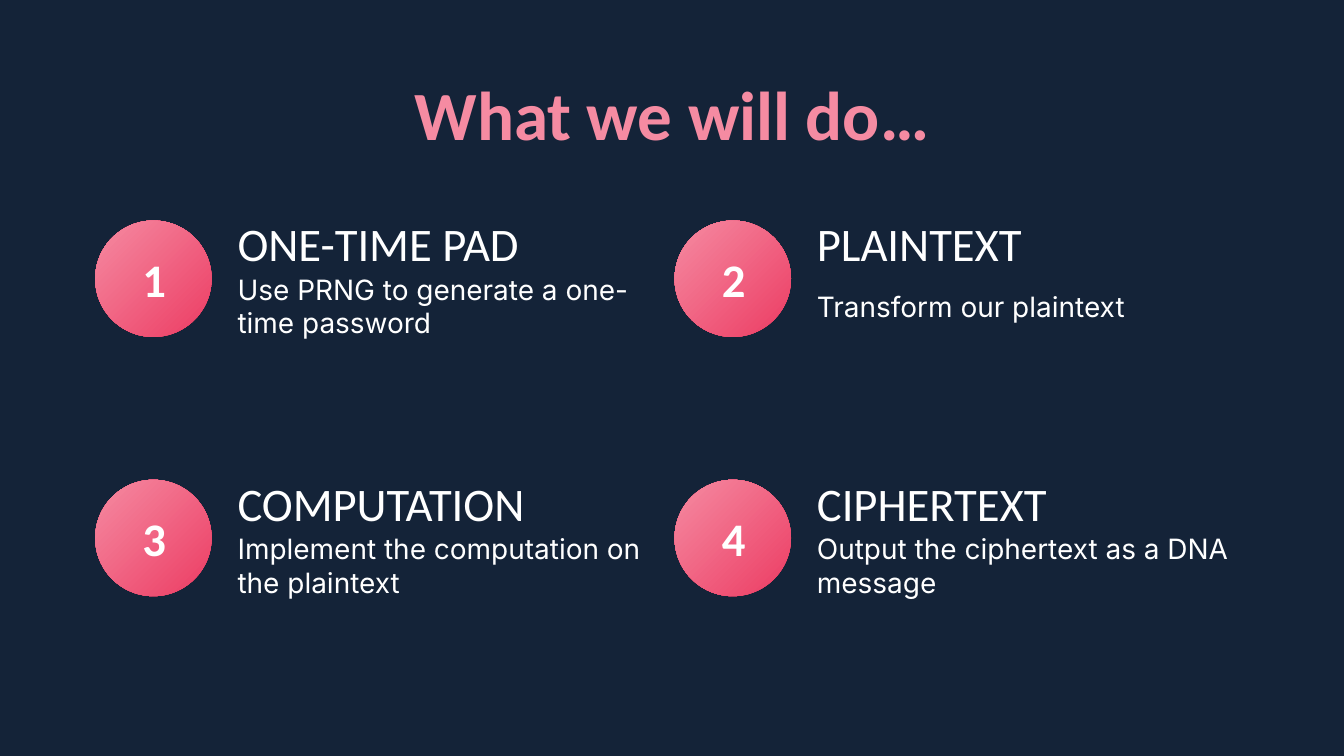
from lxml import etree
from pptx import Presentation, util as u
from pptx.dml.color import RGBColor
from pptx.enum import shapes, text
from pptx.oxml.ns import qn

NAVY, PINK, ROSE, WHITE = "142338", "F58BA2", "EC3C63", "FFFFFF"
HEAD, BODY = "Calibri", "Inter"
STEPS = [
    ("ONE-TIME PAD", "Use PRNG to generate a one-time password"),
    ("PLAINTEXT", "Transform our plaintext"),
    ("COMPUTATION", "Implement the computation on the plaintext"),
    ("CIPHERTEXT", "Output the ciphertext as a DNA message"),
]
LEFT, TOP = 1.8, 4.17
COL, ROW = 10.95, 4.9


def color(code):
    return RGBColor.from_string(code)


def write(frame, words, font=HEAD, size=25, ink=WHITE, bold=False, center=False):
    """Fill a text frame with one formatted paragraph."""
    para = frame.paragraphs[0]
    para.alignment = text.PP_ALIGN.CENTER if center else text.PP_ALIGN.LEFT
    run = para.add_run()
    run.text = words
    run.font.name = font
    run.font.size = u.Pt(size)
    run.font.bold = bold
    run.font.color.rgb = color(ink)


class Deck:
    """Holds the style and the current slide."""

    def __init__(self, wide, high):
        self.prs = Presentation()
        self.prs.slide_width, self.prs.slide_height = u.Cm(wide), u.Cm(high)
        self.slide = self.prs.slides.add_slide(self.prs.slide_layouts[6])
        fill = self.slide.background.fill
        fill.solid()
        fill.fore_color.rgb = color(NAVY)

    def label(self, words, x, y, w, h, **style):
        box = self.slide.shapes.add_textbox(u.Cm(x), u.Cm(y), u.Cm(w), u.Cm(h))
        frame = box.text_frame
        frame.word_wrap = True
        frame.vertical_anchor = text.MSO_ANCHOR.MIDDLE
        frame.margin_left = frame.margin_right = u.Cm(0.25)
        frame.margin_top = frame.margin_bottom = u.Cm(0.25)
        write(frame, words, **style)

    def disc(self, x, y, size):
        """Draw a circle shaded outwards from its top left corner."""
        disc = self.slide.shapes.add_shape(
            shapes.MSO_SHAPE.OVAL, u.Cm(x), u.Cm(y), u.Cm(size), u.Cm(size))
        disc.shadow.inherit = False
        disc.line.fill.background()
        disc.fill.gradient()
        for stop, code in zip(disc.fill.gradient_stops, (PINK, ROSE)):
            stop.color.rgb = color(code)
        grad = disc.element.spPr.find(qn("a:gradFill"))
        shade = etree.Element(qn("a:path"), {"path": "circle"})
        etree.SubElement(shade, qn("a:fillToRect"), r="100000", b="100000")
        grad.replace(grad.find(qn("a:lin")), shade)

    def step(self, num, name, note, x, y):
        self.disc(x, y, 2.2)
        self.label(str(num), x + 0.1, y + 0.63, 2.03, 0.94, bold=True, center=True)
        self.label(name, x + 2.44, y - 0.08, 8.51, 1.02)
        self.label(note, x + 2.44, y + 0.94, 8.51, 1.35, font=BODY, size=15)


def main():
    deck = Deck(25.4, 14.29)
    deck.label("What we will do…", 2, 1.5, 21.4, 1.27,
               size=37, ink=PINK, bold=True, center=True)
    for i, (name, note) in enumerate(STEPS):
        row, col = divmod(i, 2)
        deck.step(i + 1, name, note, LEFT + col * COL, TOP + row * ROW)
    deck.prs.save("out.pptx")


if __name__ == "__main__":
    main()
